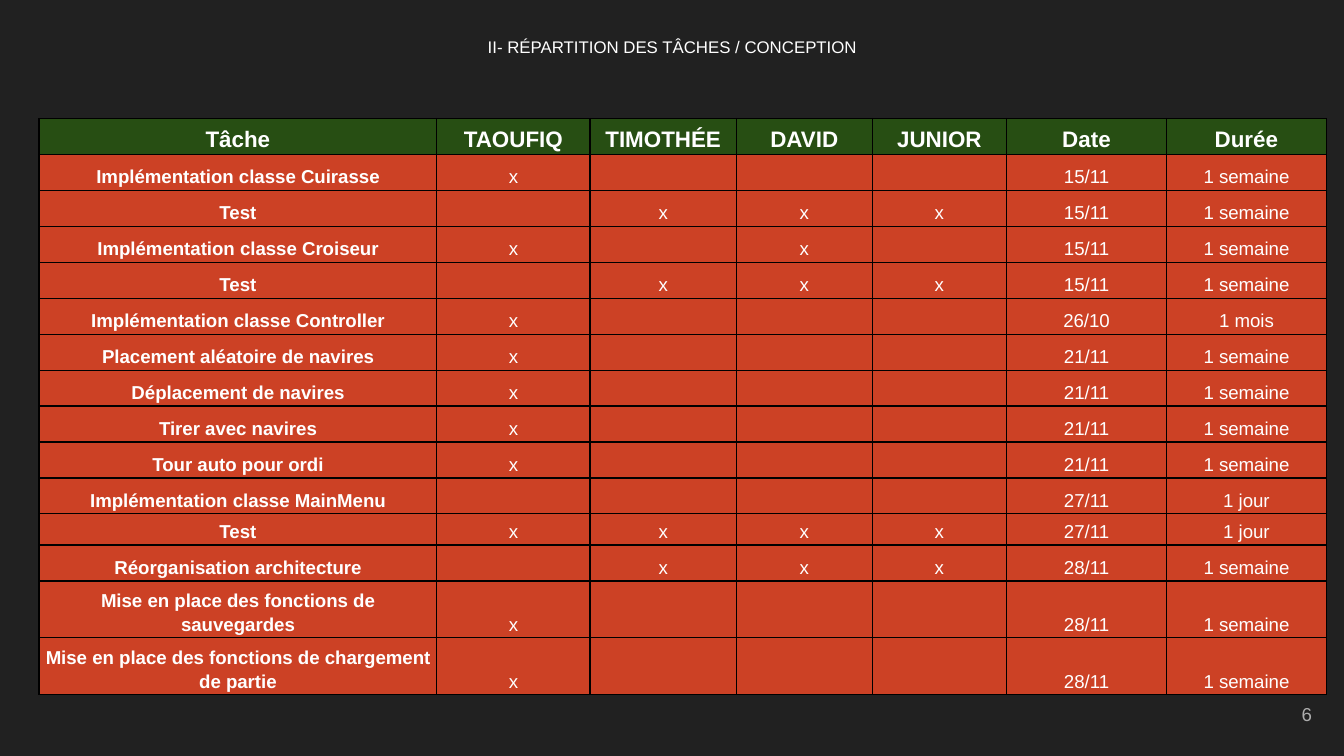
from dataclasses import dataclass

from lxml.etree import SubElement
from pptx import Presentation
from pptx.dml.color import RGBColor
from pptx.enum.text import MSO_ANCHOR, PP_ALIGN
from pptx.oxml.ns import qn
from pptx.util import Inches, Pt


@dataclass(frozen=True)
class Theme:
    font: str = "Arial"
    background: str = "212121"
    header: str = "274E13"
    body: str = "CC4125"
    text: str = "FFFFFF"
    number: str = "ADADAD"
    border: str = "000000"
    title_size: float = 9
    header_size: float = 12
    body_size: float = 10
    border_width: float = 0.75
    line_spacing: float = 1.15


theme = Theme()


def style_paragraph(paragraph, size, color, alignment, bold=False):
    paragraph.alignment = alignment
    paragraph.font.name = theme.font
    paragraph.font.size = Pt(size)
    paragraph.font.bold = bold
    paragraph.font.color.rgb = RGBColor.from_string(color)


def add_borders(cell):
    properties = cell._tc.get_or_add_tcPr()
    for side in ("lnL", "lnR", "lnT", "lnB"):
        line = SubElement(properties, qn(f"a:{side}"), w=str(Pt(theme.border_width)))
        fill = SubElement(line, qn("a:solidFill"))
        SubElement(fill, qn("a:srgbClr"), val=theme.border)


presentation = Presentation()
presentation.slide_width = Inches(10)
presentation.slide_height = presentation.slide_width * 9 // 16
column_unit = presentation.slide_width / 100
row_unit = presentation.slide_height / 100

slide = presentation.slides.add_slide(presentation.slide_layouts[6])
slide.background.fill.solid()
slide.background.fill.fore_color.rgb = RGBColor.from_string(theme.background)

text_boxes = [
    ("II- RÉPARTITION DES TÂCHES / CONCEPTION", (3.4, 2.9, 93.2, 10.31), theme.title_size,
     theme.text, PP_ALIGN.CENTER, MSO_ANCHOR.TOP, True, theme.line_spacing),
    ("6", (95.7, 91.4, 2.9, 6.22), theme.body_size,
     theme.number, PP_ALIGN.RIGHT, MSO_ANCHOR.MIDDLE, False, 1.0),
]
for text, (left, top, width, height), size, color, alignment, anchor, wrap, spacing in text_boxes:
    text_box = slide.shapes.add_textbox(
        int(left * column_unit), int(top * row_unit),
        int(width * column_unit), int(height * row_unit))
    frame = text_box.text_frame
    frame.margin_left = frame.margin_right = Inches(0.1)
    frame.margin_top = frame.margin_bottom = Inches(0.1)
    frame.word_wrap = wrap
    frame.vertical_anchor = anchor
    paragraph = frame.paragraphs[0]
    paragraph.text = text
    paragraph.line_spacing = spacing
    style_paragraph(paragraph, size, color, alignment)

members = ["TAOUFIQ", "TIMOTHÉE", "DAVID", "JUNIOR"]
first, others = members[:1], members[1:]
tasks = [
    ("Implémentation classe Cuirasse", first, "15/11", "1 semaine"),
    ("Test", others, "15/11", "1 semaine"),
    ("Implémentation classe Croiseur", ["TAOUFIQ", "DAVID"], "15/11", "1 semaine"),
    ("Test", others, "15/11", "1 semaine"),
    ("Implémentation classe Controller", first, "26/10", "1 mois"),
    ("Placement aléatoire de navires", first, "21/11", "1 semaine"),
    ("Déplacement de navires", first, "21/11", "1 semaine"),
    ("Tirer avec navires", first, "21/11", "1 semaine"),
    ("Tour auto pour ordi", first, "21/11", "1 semaine"),
    ("Implémentation classe MainMenu", [], "27/11", "1 jour"),
    ("Test", members, "27/11", "1 jour"),
    ("Réorganisation architecture", others, "28/11", "1 semaine"),
    ("Mise en place des fonctions de sauvegardes", first, "28/11", "1 semaine"),
    ("Mise en place des fonctions de chargement de partie", first, "28/11", "1 semaine"),
]
table_rows = [["Tâche", *members, "Date", "Durée"]]
for task, assigned, date, duration in tasks:
    marks = ["x" if member in assigned else "" for member in members]
    table_rows.append([task, *marks, date, duration])

column_widths = [29.6, 11.4, 10.9, 10.1, 10, 11.9, 11.9]
row_heights = [4.44] + [3.89] * len(tasks)
table = slide.shapes.add_table(
    len(table_rows), len(column_widths),
    int(2.9 * column_unit), int(15.66 * row_unit),
    int(sum(column_widths) * column_unit), int(sum(row_heights) * row_unit)).table
table.first_row = False
table.horz_banding = False
for column, width in zip(table.columns, column_widths):
    column.width = int(width * column_unit)

for row_index, (row, height, texts) in enumerate(zip(table.rows, row_heights, table_rows)):
    row.height = int(height * row_unit)
    is_header = row_index == 0
    for column_index, (cell, text) in enumerate(zip(row.cells, texts)):
        add_borders(cell)
        cell.fill.solid()
        cell.fill.fore_color.rgb = RGBColor.from_string(theme.header if is_header else theme.body)
        paragraph = cell.text_frame.paragraphs[0]
        if text:
            cell.margin_left = cell.margin_right = Inches(0.02)
            cell.margin_top = cell.margin_bottom = Inches(0.02)
            cell.vertical_anchor = MSO_ANCHOR.BOTTOM
            paragraph.text = text
            paragraph.line_spacing = theme.line_spacing
        style_paragraph(
            paragraph, theme.header_size if is_header else theme.body_size,
            theme.text, PP_ALIGN.CENTER, is_header or column_index == 0)

presentation.save("out.pptx")
